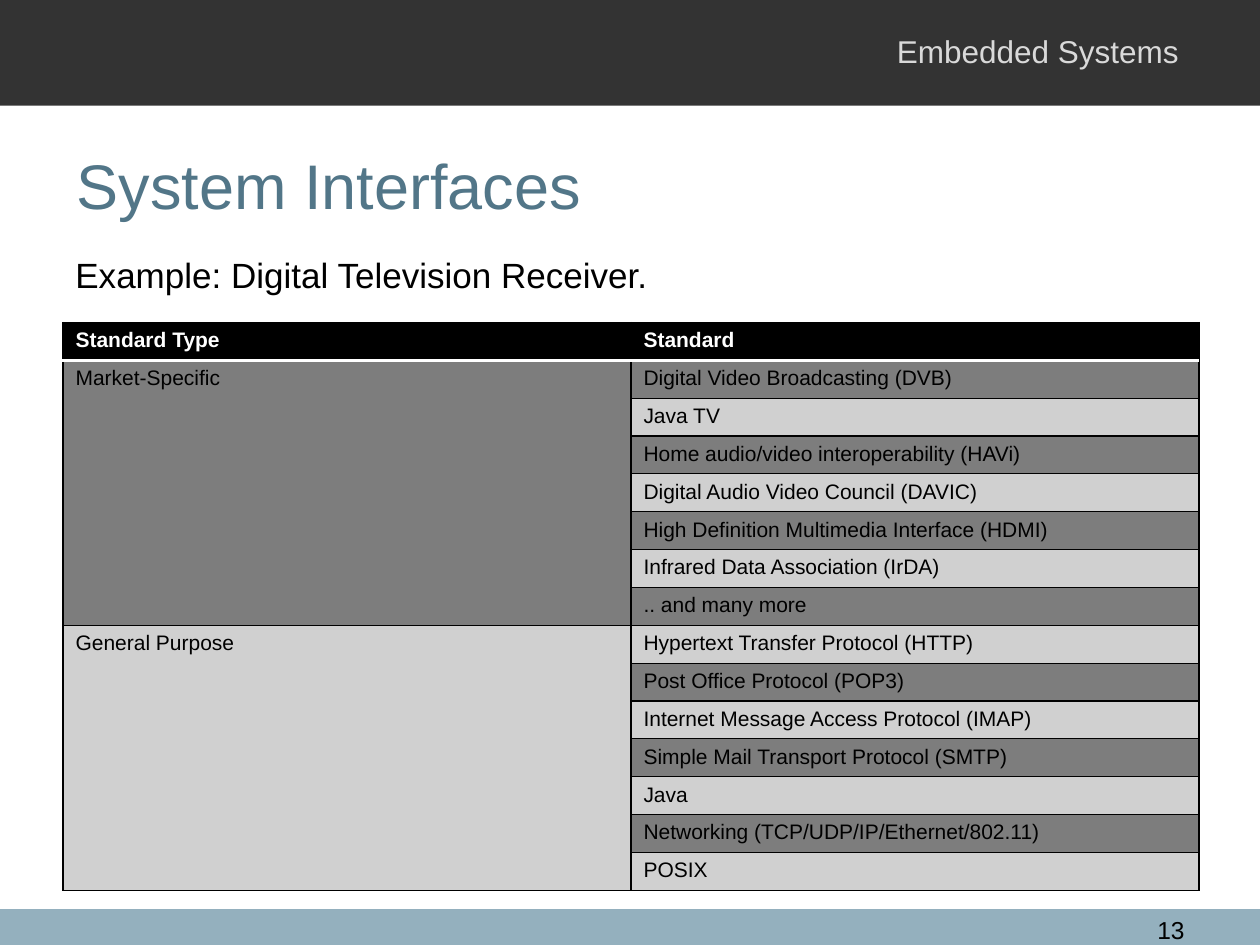
from lxml import etree
from pptx import Presentation
from pptx import util as u
from pptx.dml.color import RGBColor
from pptx.enum import shapes, text
from pptx.oxml import ns

FONT = "Arial"
BLACK = RGBColor(0x00, 0x00, 0x00)
WHITE = RGBColor(0xFF, 0xFF, 0xFF)
CHARCOAL = RGBColor(0x33, 0x33, 0x33)
PALE_GRAY = RGBColor(0xD9, 0xD9, 0xD9)
STEEL = RGBColor(0x52, 0x76, 0x88)
MIST = RGBColor(0x94, 0xB0, 0xBE)
BAND_DARK = RGBColor(0x7D, 0x7D, 0x7D)
BAND_LIGHT = RGBColor(0xD0, 0xD0, 0xD0)

HEADINGS = ("Standard Type", "Standard")
STANDARDS = {
    "Market-Specific": (
        "Digital Video Broadcasting (DVB)",
        "Java TV",
        "Home audio/video interoperability (HAVi)",
        "Digital Audio Video Council (DAVIC)",
        "High Definition Multimedia Interface (HDMI)",
        "Infrared Data Association (IrDA)",
        ".. and many more",
    ),
    "General Purpose": (
        "Hypertext Transfer Protocol (HTTP)",
        "Post Office Protocol (POP3)",
        "Internet Message Access Protocol (IMAP)",
        "Simple Mail Transport Protocol (SMTP)",
        "Java",
        "Networking (TCP/UDP/IP/Ethernet/802.11)",
        "POSIX",
    ),
}


def add_run(paragraph, words, size, color, bold=False):
    run = paragraph.add_run()
    run.text = words
    run.font.name = FONT
    run.font.size = u.Pt(size)
    run.font.bold = bold
    run.font.color.rgb = color


def add_band(slide, top, height, color):
    band = slide.shapes.add_shape(
        shapes.MSO_SHAPE.RECTANGLE, 0, u.Cm(top), u.Cm(25.4), u.Cm(height))
    band.shadow.inherit = False
    band.fill.solid()
    band.fill.fore_color.rgb = color
    band.line.fill.background()


def add_label(slide, box, words, size, color,
              align=text.PP_ALIGN.LEFT, anchor=text.MSO_ANCHOR.TOP):
    label = slide.shapes.add_textbox(*(u.Cm(length) for length in box))
    frame = label.text_frame
    frame.word_wrap = True
    frame.vertical_anchor = anchor
    frame.paragraphs[0].alignment = align
    add_run(frame.paragraphs[0], words, size, color)


def set_borders(cell, top=(BLACK, 0.75), bottom=(BLACK, 0.75)):
    side = (BLACK, 0.75)
    properties = cell._tc.get_or_add_tcPr()
    for tag, (color, width) in zip(("lnL", "lnR", "lnT", "lnB"),
                                   (side, side, top, bottom)):
        line = etree.SubElement(properties, ns.qn(f"a:{tag}"), w=str(u.Pt(width)))
        fill = etree.SubElement(line, ns.qn("a:solidFill"))
        etree.SubElement(fill, ns.qn("a:srgbClr"), val=str(color))


def style_cell(cell, color, **borders):
    set_borders(cell, **borders)
    cell.fill.solid()
    cell.fill.fore_color.rgb = color


def add_standards_table(slide):
    row_count = 1 + sum(len(names) for names in STANDARDS.values())
    row_height = u.Cm(0.73)
    table = slide.shapes.add_table(
        row_count, 2, u.Cm(1.27), u.Cm(6.5), u.Cm(22.9), row_height * row_count).table
    table.horz_banding = False
    for row in table.rows:
        row.height = row_height

    # Heading row, set off by a white rule
    rule = (WHITE, 2)
    for column, heading in enumerate(HEADINGS):
        cell = table.cell(0, column)
        style_cell(cell, BLACK, bottom=rule)
        add_run(cell.text_frame.paragraphs[0], heading, 12, WHITE, bold=True)

    # Alternating rows, one merged cell for each type
    first = 1
    for kind, names in STANDARDS.items():
        last = first + len(names) - 1
        kind_color = BAND_DARK if first % 2 else BAND_LIGHT
        for row, name in enumerate(names, first):
            borders = {"top": rule} if row == 1 else {}
            style_cell(table.cell(row, 0), kind_color, **borders)
            standard = table.cell(row, 1)
            style_cell(standard, BAND_DARK if row % 2 else BAND_LIGHT, **borders)
            add_run(standard.text_frame.paragraphs[0], name, 12, BLACK)
        kind_cell = table.cell(first, 0)
        kind_cell.merge(table.cell(last, 0))
        add_run(kind_cell.text_frame.paragraphs[0], kind, 12, BLACK)
        first = last + 1


def main():
    deck = Presentation()
    deck.slide_width, deck.slide_height = u.Cm(25.4), u.Cm(19.05)
    slide = deck.slides.add_slide(deck.slide_layouts[6])

    # Footer and header bands
    add_band(slide, 18.33, 0.72, MIST)
    add_band(slide, 0, 2.13, CHARCOAL)
    add_label(slide, (17.83, 0.53, 6.35, 1.02), "Embedded Systems", 18, PALE_GRAY)

    # Title and introduction
    add_label(slide, (1.3, 2.13, 22.86, 3.18), "System Interfaces", 36, STEEL,
              anchor=text.MSO_ANCHOR.MIDDLE)
    add_label(slide, (1.27, 4.98, 22.86, 1.4),
              "Example: Digital Television Receiver.", 20, BLACK)

    add_standards_table(slide)

    # Page number
    add_label(slide, (22.5, 18.33, 1.63, 0.61), "13", 14, BLACK,
              align=text.PP_ALIGN.RIGHT)

    deck.save("out.pptx")


if __name__ == "__main__":
    main()
